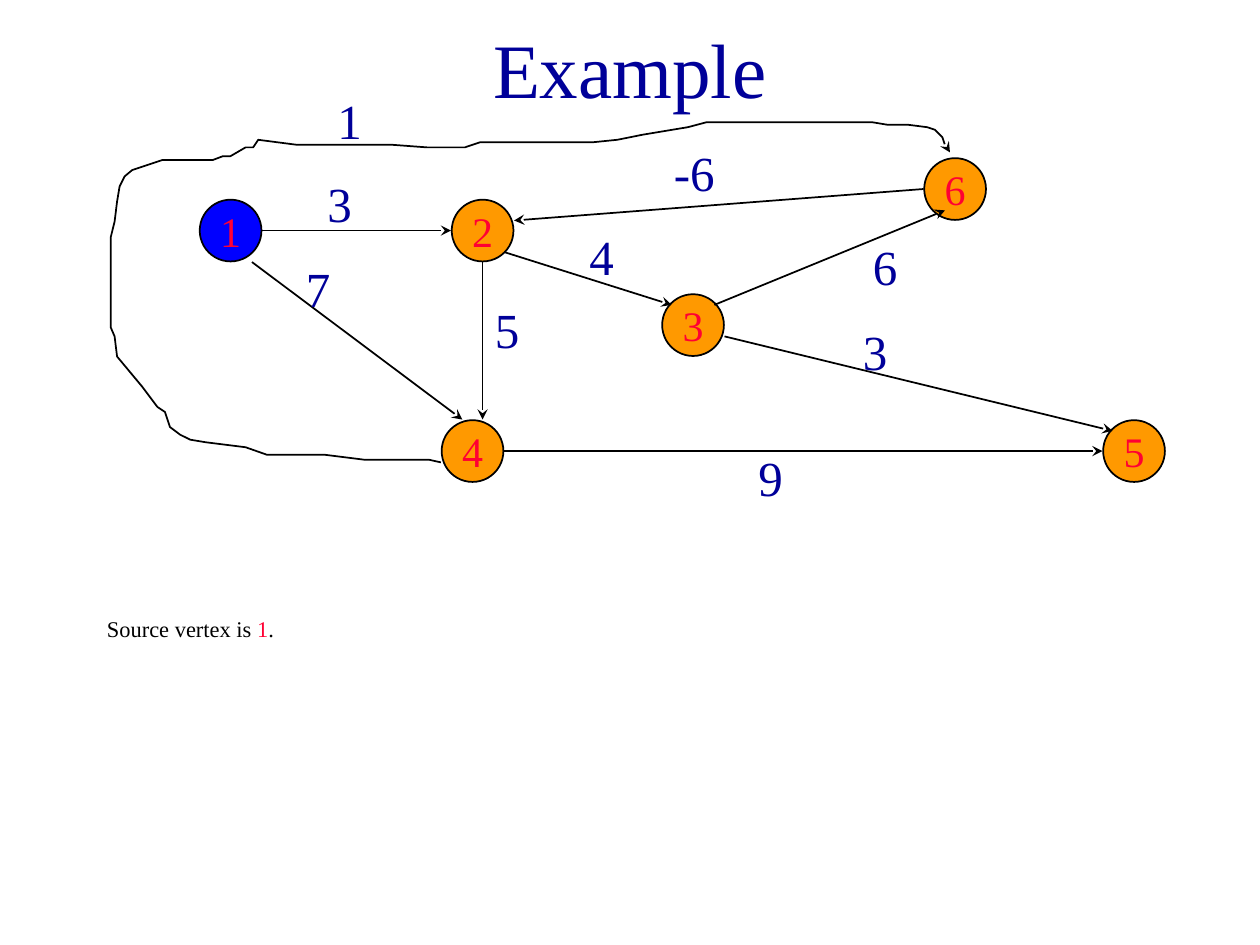
import dataclasses

import pptx
import pptx.dml.color
import pptx.enum.shapes
import pptx.enum.text
import pptx.oxml
import pptx.oxml.ns
import pptx.util

Inches = pptx.util.Inches
Pt = pptx.util.Pt
Align = pptx.enum.text.PP_ALIGN
Anchor = pptx.enum.text.MSO_ANCHOR
Kind = pptx.enum.shapes.MSO_SHAPE


@dataclasses.dataclass(frozen=True)
class Theme:
    font: str = "Times New Roman"
    navy: str = "000099"
    red: str = "FF0033"
    black: str = "000000"
    orange: str = "FF9900"
    blue: str = "0000FF"
    title: float = 44
    weight: float = 28
    node: float = 24
    note: float = 12.8
    line: float = 1


@dataclasses.dataclass(frozen=True)
class Box:
    left: float
    top: float
    width: float
    height: float

    def spot(self, x, y):
        """Turn a point inside the box into slide lengths."""
        return Inches(self.left + x), Inches(self.top + y)


THEME = Theme()
SIZE = 0.49     # node diameter

# name: centre within the graph
NODES = {"1": (1.33, 1.33), "2": (3.33, 1.33), "3": (5, 2.08),
         "4": (3.25, 3.08), "5": (8.5, 3.08), "6": (7.08, 1)}
SOURCE = "1"

# start, end
EDGES = [
    ((1.58, 1.33), (3.08, 1.33)),
    ((1.5, 1.58), (3.17, 2.83)),
    ((3.5, 1.5), (4.83, 1.92)),
    ((3.5, 3.08), (8.25, 3.08)),
    ((5.25, 2.17), (8.33, 2.92)),
    ((6.83, 1), (3.58, 1.25)),
    ((5.17, 1.92), (7, 1.17)),
    ((3.33, 1.58), (3.33, 2.83)),
]

# text, left, top, width
WEIGHTS = [
    ("3", 2, 0.83, 0.42), ("7", 1.83, 1.5, 0.67), ("4", 4.08, 1.25, 0.42),
    ("9", 5.42, 3, 0.42), ("3", 6.25, 2, 0.67), ("-6", 4.75, 0.58, 0.67),
    ("6", 6.33, 1.33, 0.67), ("5", 3.33, 1.83, 0.42), ("1", 2.08, 0.17, 0.67),
]

# the long way round from node 4 to node 6
ROUTE = [
    (3, 3.17), (2.91, 3.15), (2.4, 3.15), (2.08, 3.11), (1.62, 3.11),
    (1.45, 3.05), (1.13, 3.01), (1.01, 2.99), (0.93, 2.95), (0.85, 2.89),
    (0.81, 2.77), (0.75, 2.73), (0.63, 2.57), (0.43, 2.33), (0.41, 2.17),
    (0.38, 2.1), (0.38, 1.38), (0.41, 1.26), (0.43, 1.1), (0.45, 0.98),
    (0.49, 0.9), (0.55, 0.85), (0.79, 0.77), (1.19, 0.77), (1.27, 0.74),
    (1.33, 0.74), (1.45, 0.67), (1.51, 0.67), (1.55, 0.61), (1.86, 0.65),
    (2.62, 0.65), (2.89, 0.67), (3.19, 0.67), (3.31, 0.63), (4.2, 0.63),
    (4.4, 0.61), (4.6, 0.57), (4.96, 0.51), (5.11, 0.47), (6.42, 0.47),
    (6.54, 0.49), (6.7, 0.49), (6.86, 0.51), (6.92, 0.53), (6.98, 0.59),
    (7, 0.65), (7.04, 0.71),
]


def paint(code):
    return pptx.dml.color.RGBColor.from_string(code)


def write(frame, *runs, size, align=Align.LEFT, anchor=Anchor.TOP,
          before=0, inset=(0.1, 0.05), wrap=True):
    """Fill a text frame with (text, colour) runs."""
    frame.word_wrap = wrap
    frame.vertical_anchor = anchor
    frame.margin_left = frame.margin_right = Inches(inset[0])
    frame.margin_top = frame.margin_bottom = Inches(inset[1])
    para = frame.paragraphs[0]
    para.alignment = align
    para.space_before = Pt(before)
    for text, colour in runs:
        run = para.add_run()
        run.text = text
        run.font.name = THEME.font
        run.font.size = Pt(size)
        run.font.color.rgb = paint(colour)


def stroke(shape, arrow=False):
    shape.line.color.rgb = paint(THEME.black)
    shape.line.width = Pt(THEME.line)
    if arrow:
        line = shape.element.spPr.find(pptx.oxml.ns.qn("a:ln"))
        tip = pptx.oxml.parse_xml(
            f'<a:tailEnd {pptx.oxml.ns.nsdecls("a")} type="stealth"/>')
        line.append(tip)


def add_node(slide, box, name, x, y):
    shape = slide.shapes.add_shape(
        Kind.OVAL, *box.spot(x - SIZE / 2, y - SIZE / 2),
        Inches(SIZE), Inches(SIZE))
    shape.fill.solid()
    shape.fill.fore_color.rgb = paint(
        THEME.blue if name == SOURCE else THEME.orange)
    stroke(shape)
    shape.shadow.inherit = False
    write(shape.text_frame, (name, THEME.red), size=THEME.node,
          align=Align.CENTER, anchor=Anchor.MIDDLE, inset=(0, 0), wrap=False)


def add_edge(slide, box, start, end):
    edge = slide.shapes.add_connector(
        pptx.enum.shapes.MSO_CONNECTOR.STRAIGHT,
        *box.spot(*start), *box.spot(*end))
    stroke(edge, arrow=True)
    edge.element.spPr.append(pptx.oxml.parse_xml(
        f'<a:effectLst {pptx.oxml.ns.nsdecls("a")}/>'))


def add_route(slide, box):
    first, *rest = [box.spot(*point) for point in ROUTE]
    pen = slide.shapes.build_freeform(*first)
    pen.add_line_segments(rest, close=False)
    route = pen.convert_to_shape()
    route.fill.background()
    stroke(route, arrow=True)
    route.shadow.inherit = False


def add_graph(slide, box):
    for name, (x, y) in NODES.items():
        add_node(slide, box, name, x, y)
    for start, end in EDGES:
        add_edge(slide, box, start, end)
    add_route(slide, box)
    for text, x, y, width in WEIGHTS:
        label = slide.shapes.add_textbox(
            *box.spot(x, y), Inches(width), Inches(0.57))
        write(label.text_frame, (text, THEME.navy), size=THEME.weight,
              before=17.5)


def add_title(slide, box):
    title = slide.shapes.title
    title.left, title.top = box.spot(0, 0)
    title.width, title.height = Inches(box.width), Inches(box.height)
    write(title.text_frame, ("Example", THEME.navy), size=THEME.title,
          align=Align.CENTER, anchor=Anchor.MIDDLE)


def add_note(slide, box):
    note = slide.shapes.add_textbox(
        *box.spot(0, 0), Inches(box.width), Inches(box.height))
    write(note.text_frame, ("Source vertex is ", THEME.black),
          (SOURCE, THEME.red), (".", THEME.black), size=THEME.note, before=8)


def main():
    deck = pptx.Presentation()
    deck.slide_width, deck.slide_height = Inches(10), Inches(7.5)
    slide = deck.slides.add_slide(deck.slide_layouts[5])
    add_title(slide, Box(0.75, 0, 8.5, 1.08))
    add_graph(slide, Box(0.5, 0.5, 9, 4))
    add_note(slide, Box(0.75, 4.83, 8.5, 0.33))
    deck.save("out.pptx")


if __name__ == "__main__":
    main()
